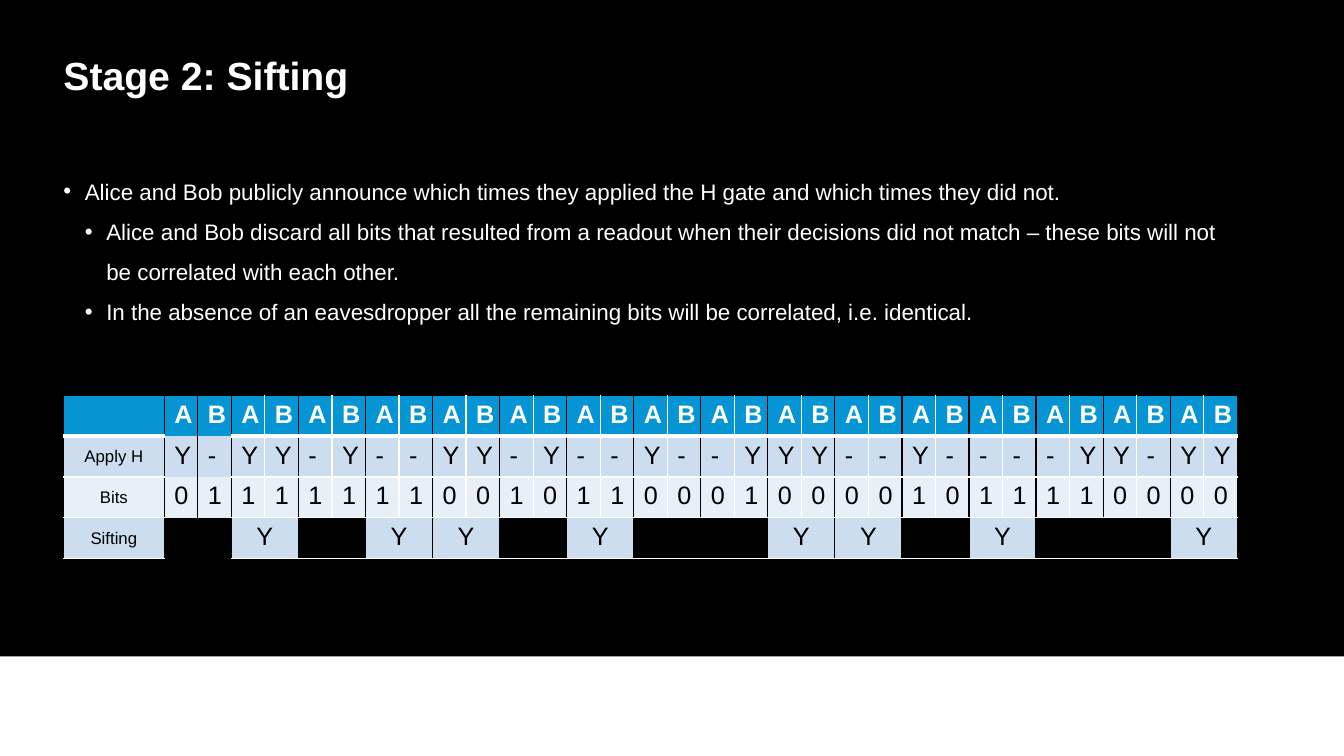
import dataclasses

import lxml.etree
import pptx
import pptx.dml.color
import pptx.enum.shapes
import pptx.enum.text
import pptx.oxml.ns
import pptx.util

Cm = pptx.util.Cm
Pt = pptx.util.Pt
qn = pptx.oxml.ns.qn

APPLY_H = "Y-YY-Y--YY-Y--Y--YYY--Y----YY-YY"
BITS = "01111111001011000100001011110000"
BULLETS = [
    (0, "Alice and Bob publicly announce which times they applied the H gate "
        "and which times they did not."),
    (1, "Alice and Bob discard all bits that resulted from a readout when their "
        "decisions did not match – these bits will not be correlated with each other."),
    (1, "In the absence of an eavesdropper all the remaining bits will be "
        "correlated, i.e. identical."),
]
LEFT, WIDTH = 1.6, 29.59
LABEL_WIDTH, ROW_HEIGHT = 2.54, 1.03


@dataclasses.dataclass(frozen=True)
class Theme:
    font: str = "Arial"
    dark: str = "000000"
    light: str = "FFFFFF"
    header: str = "0595D4"
    band: str = "CCDDEF"
    pale_band: str = "E7EFF7"
    title_size: int = 28
    body_size: int = 16
    cell_size: int = 18
    label_size: int = 12
    plain_table: str = "{2D5ABB26-0587-4C30-8999-92F81FD0307C}"


def rgb(color):
    return pptx.dml.color.RGBColor.from_string(color)


class SlideBuilder:
    def __init__(self, slide, theme):
        self.slide = slide
        self.theme = theme

    def format_runs(self, paragraph, size, color, bold=False):
        for run in paragraph.runs:
            run.font.name = self.theme.font
            run.font.size = Pt(size)
            run.font.bold = bold
            run.font.color.rgb = rgb(color)

    def panel(self, left, top, width, height, color):
        panel = self.slide.shapes.add_shape(
            pptx.enum.shapes.MSO_SHAPE.RECTANGLE,
            Cm(left), Cm(top), Cm(width), Cm(height))
        panel.shadow.inherit = False
        panel.fill.solid()
        panel.fill.fore_color.rgb = rgb(color)
        panel.line.fill.background()

    def text_frame(self, top, height):
        """Add a text box as wide as the content and return its frame."""
        frame = self.slide.shapes.add_textbox(
            Cm(LEFT), Cm(top), Cm(WIDTH), Cm(height)).text_frame
        frame.word_wrap = True
        frame.margin_left = frame.margin_right = 0
        frame.margin_top = frame.margin_bottom = 0
        return frame

    def title(self, text, top, height):
        frame = self.text_frame(top, height)
        frame.vertical_anchor = pptx.enum.text.MSO_ANCHOR.MIDDLE
        frame.text = text
        heading = frame.paragraphs[0]
        heading.line_spacing = 0.95
        self.format_runs(heading, self.theme.title_size, self.theme.light, True)

    def bullets(self, items, top, height, indent=0.54):
        frame = self.text_frame(top, height)
        for index, (level, text) in enumerate(items):
            item = frame.paragraphs[0] if index == 0 else frame.add_paragraph()
            item.text = text
            item.level = level
            item.line_spacing = 1.5
            properties = item._p.get_or_add_pPr()
            properties.set("marL", str(Cm(indent * (level + 1))))
            properties.set("indent", str(-Cm(indent)))
            lxml.etree.SubElement(properties, qn("a:buFont"), typeface="Arial")
            lxml.etree.SubElement(properties, qn("a:buChar"), char="•")
            self.format_runs(item, self.theme.body_size, self.theme.light)

    def table(self, row_count, column_count, top):
        frame = self.slide.shapes.add_table(
            row_count, column_count, Cm(LEFT), Cm(top),
            Cm(WIDTH), Cm(ROW_HEIGHT * row_count))
        table = frame.table
        table.first_row = table.horz_banding = False
        table._tbl.tblPr.find(qn("a:tableStyleId")).text = self.theme.plain_table
        for row in table.rows:
            row.height = Cm(ROW_HEIGHT)
        for column in table.columns:
            column.width = Cm((WIDTH - LABEL_WIDTH) / (column_count - 1))
        table.columns[0].width = Cm(LABEL_WIDTH)
        return table

    def cell(self, cell, text, fill, borders, size, color, bold=False, centred=False):
        cell.fill.solid()
        cell.fill.fore_color.rgb = rgb(fill)
        cell.text = text
        entry = cell.text_frame.paragraphs[0]
        if centred:
            entry.alignment = pptx.enum.text.PP_ALIGN.CENTER
        self.format_runs(entry, size, color, bold)
        self.borders(cell, borders)

    def borders(self, cell, borders):
        """Draw the given sides, a dict from L, R, T, B to colour and points."""
        properties = cell._tc.get_or_add_tcPr()
        sides = [side for side in "LRTB" if side in borders]
        for position, side in enumerate(sides):
            color, points = borders[side]
            line = lxml.etree.Element(qn(f"a:ln{side}"), w=str(Pt(points)))
            solid = lxml.etree.SubElement(line, qn("a:solidFill"))
            lxml.etree.SubElement(solid, qn("a:srgbClr"), val=color)
            properties.insert(position, line)


def cell_borders(theme, row, column, merged):
    """Black lines part the pairs, white lines part A from B and the rows."""
    black, white = (theme.dark, 1), (theme.light, 1)
    starts_pair = column % 2 == 1
    borders = {
        "L": black if starts_pair or column == 0 else white,
        "R": white if starts_pair and not merged else black,
        "T": black if row == 0 else white,
        "B": (theme.light, 3) if row == 0 else white,
    }
    if column in (1, 2):
        outer = ["L"] if column == 1 else ["R"]
        outer += ["R"] if merged else []
        outer += ["T"] if row == 0 else []
        borders = {side: borders[side] for side in outer}
    return borders


def add_sifting_table(builder, top):
    theme = builder.theme
    rows = [
        ("", "AB" * (len(BITS) // 2), theme.header),
        ("Apply H", APPLY_H, theme.band),
        ("Bits", BITS, theme.pale_band),
        ("Sifting", "", theme.band),
    ]
    table = builder.table(len(rows), len(BITS) + 1, top)
    for row, (label, values, fill) in enumerate(rows):
        label_cell = table.cell(row, 0)
        label_cell.vertical_anchor = pptx.enum.text.MSO_ANCHOR.MIDDLE
        builder.cell(label_cell, label, fill, cell_borders(theme, row, 0, False),
                     theme.label_size, theme.dark, centred=True)
        for column, value in enumerate(values, start=1):
            builder.cell(table.cell(row, column), value, fill,
                         cell_borders(theme, row, column, False), theme.cell_size,
                         theme.light if row == 0 else theme.dark, bold=row == 0)

    sifting_row = len(rows) - 1
    for column in range(1, len(BITS) + 1, 2):
        alice, bob = APPLY_H[column - 1:column + 1]
        kept = alice == bob
        pair = table.cell(sifting_row, column)
        pair.merge(table.cell(sifting_row, column + 1))
        builder.cell(pair, "Y" if kept else "", theme.band if kept else theme.dark,
                     cell_borders(theme, sifting_row, column, True),
                     theme.cell_size, theme.dark, centred=True)


def main():
    presentation = pptx.Presentation()
    presentation.slide_width = Cm(33.87)
    presentation.slide_height = Cm(19.05)
    slide = presentation.slides.add_slide(presentation.slide_layouts[6])
    theme = Theme()
    builder = SlideBuilder(slide, theme)
    builder.panel(0, 0, 33.87, 16.54, theme.dark)
    builder.bullets(BULLETS, top=4.14, height=11.66)
    builder.title("Stage 2: Sifting", top=1.37, height=1.14)
    add_sifting_table(builder, top=9.96)
    presentation.save("out.pptx")


if __name__ == "__main__":
    main()
